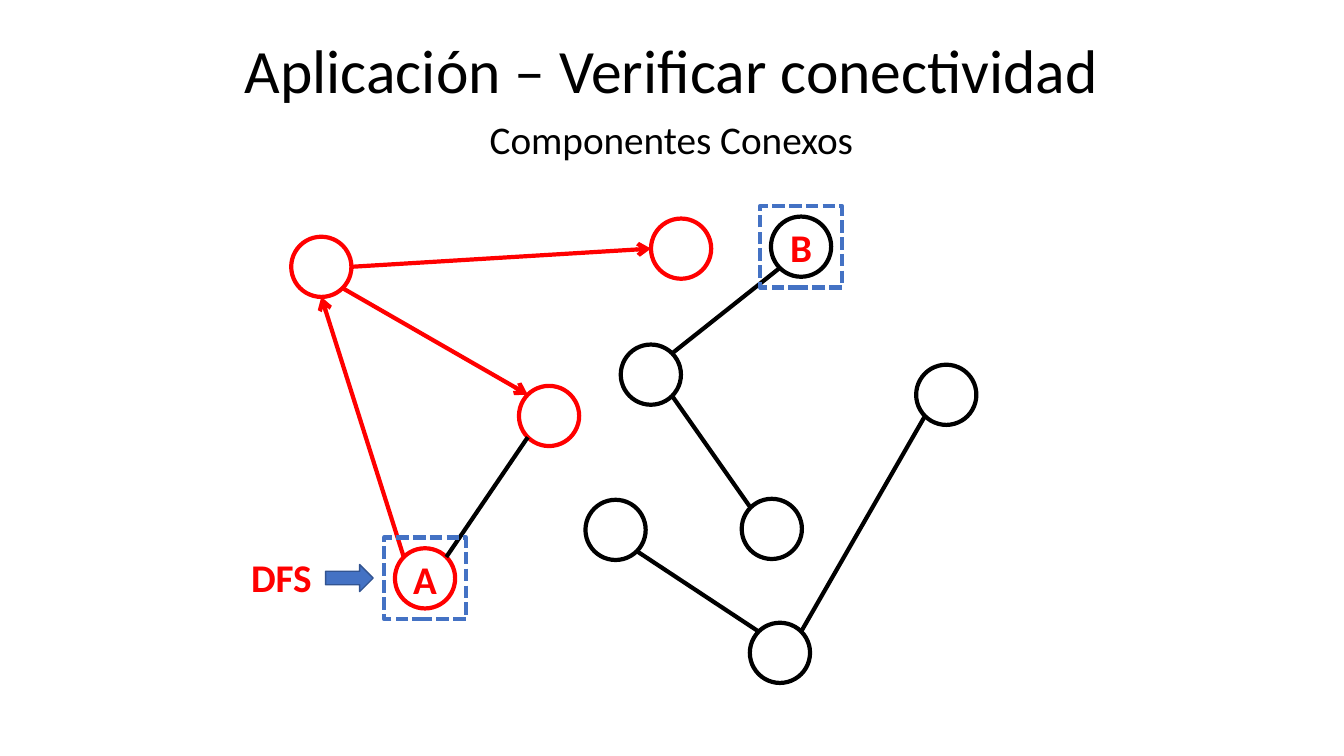
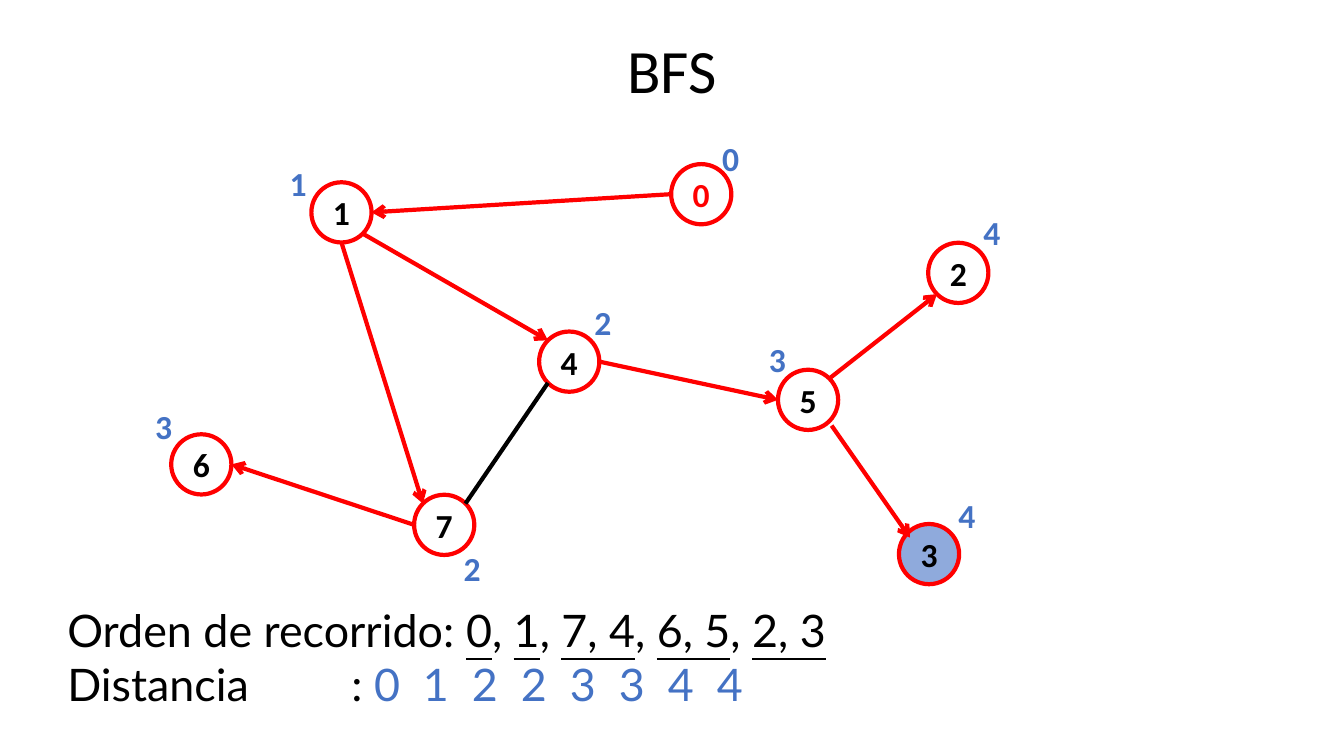
from dataclasses import dataclass
from enum import IntEnum
from math import cos, radians, sin

from lxml.etree import SubElement
from pptx import Presentation
from pptx.dml.color import RGBColor
from pptx.enum.dml import MSO_LINE
from pptx.enum.shapes import MSO_CONNECTOR, MSO_SHAPE
from pptx.enum.text import MSO_ANCHOR, MSO_AUTO_SIZE, PP_ALIGN
from pptx.oxml.ns import qn
from pptx.util import Pt


@dataclass(frozen=True)
class Theme:
    black: RGBColor = RGBColor(0, 0, 0)
    visited: RGBColor = RGBColor(0xFF, 0, 0)
    accent: RGBColor = RGBColor(0x44, 0x72, 0xC4)
    accent_dark: RGBColor = RGBColor(0x32, 0x54, 0x91)
    accent_light: RGBColor = RGBColor(0x8F, 0xAA, 0xDC)
    font: str = "Calibri"
    summary_font: str = "Lato"
    title_size: int = 44
    summary_size: int = 32
    large_size: int = 28
    label_size: int = 24
    stroke: int = 3


THEME = Theme()
PAGE_WIDTH, PAGE_HEIGHT = 960, 540
NODE_SIZE = 43
FRAME_SIZE = 58.4


class Site(IntEnum):
    """Connection sites of an ellipse, counterclockwise from the top."""
    TOP = 0
    TOP_LEFT = 1
    LEFT = 2
    BOTTOM_LEFT = 3
    BOTTOM = 4
    BOTTOM_RIGHT = 5
    RIGHT = 6
    TOP_RIGHT = 7


def style_paragraph(para, size, color=THEME.black, bold=False, name=THEME.font):
    para.font.name = name
    para.font.size = Pt(size)
    para.font.bold = bold
    para.font.color.rgb = color


def add_page(deck, title, title_width):
    page = deck.slides.add_slide(deck.slide_layouts[5])
    box = page.shapes.title
    box.left, box.top = Pt((PAGE_WIDTH - title_width) / 2), Pt(0)
    box.width, box.height = Pt(title_width), Pt(104.4)
    frame = box.text_frame
    frame.text = title
    frame.auto_size = MSO_AUTO_SIZE.NONE
    frame.vertical_anchor = MSO_ANCHOR.MIDDLE
    para = frame.paragraphs[0]
    para.alignment = PP_ALIGN.CENTER
    para.line_spacing = 0.9
    style_paragraph(para, THEME.title_size)
    return page


def add_text(page, text, left, top, width, height, size, color=THEME.black, bold=False):
    """Add one centred line of text."""
    box = page.shapes.add_textbox(Pt(left), Pt(top), Pt(width), Pt(height))
    box.text_frame.text = text
    box.text_frame.word_wrap = False
    para = box.text_frame.paragraphs[0]
    para.alignment = PP_ALIGN.CENTER
    style_paragraph(para, size, color, bold)


def add_outline(page, kind, center, size, color, fill=None):
    x, y = center
    shape = page.shapes.add_shape(
        kind, Pt(x - size / 2), Pt(y - size / 2), Pt(size), Pt(size))
    shape.shadow.inherit = False
    if fill is None:
        shape.fill.background()
    else:
        shape.fill.solid()
        shape.fill.fore_color.rgb = fill
    shape.line.color.rgb = color
    shape.line.width = Pt(THEME.stroke)
    return shape


def add_node(page, center, color, label="", label_color=THEME.black,
             size=THEME.label_size, fill=None):
    node = add_outline(page, MSO_SHAPE.OVAL, center, NODE_SIZE, color, fill)
    if label:
        frame = node.text_frame
        frame.margin_left = frame.margin_right = Pt(0)
        frame.margin_top = frame.margin_bottom = Pt(0)
        frame.word_wrap = False
        frame.vertical_anchor = MSO_ANCHOR.MIDDLE
        frame.text = label
        frame.paragraphs[0].alignment = PP_ALIGN.CENTER
        style_paragraph(frame.paragraphs[0], size, label_color, True)
    return node


def add_frame(page, center):
    frame = add_outline(page, MSO_SHAPE.RECTANGLE, center, FRAME_SIZE, THEME.accent)
    frame.line.dash_style = MSO_LINE.SQUARE_DOT


def add_edge(page, start, end, traversed):
    """Draw a line; a traversed edge is red and ends in an arrowhead."""
    edge = page.shapes.add_connector(MSO_CONNECTOR.STRAIGHT, *start, *end)
    edge.line.color.rgb = THEME.visited if traversed else THEME.black
    edge.line.width = Pt(THEME.stroke)
    properties = edge._element.spPr
    if traversed:
        SubElement(properties.find(qn("a:ln")), qn("a:tailEnd"), type="arrow")
    SubElement(properties, qn("a:effectLst"))
    return edge


def site_point(node, site):
    angle = radians(90 + 45 * site)
    radius = node.width / 2
    return (round(node.left + radius + radius * cos(angle)),
            round(node.top + radius - radius * sin(angle)))


def link_nodes(page, source, source_site, target, target_site, traversed):
    """Draw an edge glued to both nodes."""
    edge = add_edge(page, site_point(source, source_site),
                    site_point(target, target_site), traversed)
    glue = edge._element.find(".//" + qn("p:cNvCxnSpPr"))
    for tag, node, site in (("a:stCxn", source, source_site),
                            ("a:endCxn", target, target_site)):
        SubElement(glue, qn(tag), id=str(node.shape_id), idx=str(int(site)))


def add_tabs(para, positions):
    tabs = SubElement(para._p.get_or_add_pPr(), qn("a:tabLst"))
    for position in positions:
        SubElement(tabs, qn("a:tab"), pos=str(Pt(position)), algn="l")


def add_summary(page, levels, distances):
    box = page.shapes.add_textbox(Pt(41), Pt(427), Pt(901), Pt(85))
    frame = box.text_frame
    frame.word_wrap = True
    order = frame.paragraphs[0]
    order.add_run().text = "Orden de recorrido: "
    for index, level in enumerate(levels):
        if index:
            order.add_run().text = ", "
        span = order.add_run()
        span.text = level
        span.font.underline = True

    distance = frame.add_paragraph()
    add_tabs(distance, [203] + [219 + 35 * step for step in range(1, len(distances))])
    distance.add_run().text = "Distancia\t: "
    span = distance.add_run()
    span.text = "\t".join(distances)
    span.font.color.rgb = THEME.accent
    for para in frame.paragraphs:
        style_paragraph(para, THEME.summary_size, name=THEME.summary_font)


def build_connectivity(deck):
    page = add_page(deck, "Aplicación – Verificar conectividad", PAGE_WIDTH)
    add_text(page, "Componentes Conexos", 314.6, 78.5, 330, 41, THEME.large_size)

    centers = {
        "northwest": (229.5, 190.6), "north": (486.5, 177.6),
        "middle": (392.2, 297.1), "A": (303.6, 413.1),
        "B": (572.2, 176.2), "hub": (464.9, 267.6), "south": (551.3, 377.8),
        "southwest": (439.7, 378.5), "bottom": (557.1, 466.3), "east": (675.9, 282),
    }
    reached = {"northwest", "north", "middle", "A"}
    framed = ("A", "B")
    nodes = {
        name: add_node(page, center,
                       THEME.visited if name in reached else THEME.black,
                       name if name in framed else "",
                       THEME.visited, THEME.large_size)
        for name, center in centers.items()
    }
    for source, source_site, target, target_site, traversed in (
        ("northwest", Site.RIGHT, "north", Site.LEFT, True),
        ("B", Site.BOTTOM_LEFT, "hub", Site.TOP_RIGHT, False),
        ("A", Site.TOP_RIGHT, "middle", Site.BOTTOM_LEFT, False),
        ("northwest", Site.BOTTOM_RIGHT, "middle", Site.TOP_LEFT, True),
        ("A", Site.TOP_LEFT, "northwest", Site.BOTTOM, True),
        ("hub", Site.BOTTOM_RIGHT, "south", Site.TOP_LEFT, False),
        ("southwest", Site.BOTTOM_RIGHT, "bottom", Site.TOP_LEFT, False),
        ("bottom", Site.TOP_RIGHT, "east", Site.BOTTOM_LEFT, False),
    ):
        link_nodes(page, nodes[source], source_site, nodes[target], target_site, traversed)

    add_text(page, "DFS", 172, 392, 58, 41, THEME.large_size, THEME.visited, True)
    pointer = page.shapes.add_shape(
        MSO_SHAPE.RIGHT_ARROW, Pt(232.6), Pt(403.2), Pt(34), Pt(19.4))
    pointer.shadow.inherit = False
    pointer.fill.solid()
    pointer.fill.fore_color.rgb = THEME.accent
    pointer.line.color.rgb = THEME.accent_dark
    pointer.line.width = Pt(1)
    for name in framed:
        add_frame(page, centers[name])


def build_bfs(deck):
    page = add_page(deck, "BFS", 451)
    nodes = {}
    for label, (x, y), distance, (shift_x, shift_y) in (
        ("0", (500.9, 138.7), "0", (21, -26)),
        ("1", (243.9, 151.7), "1", (-31, -21)),
        ("7", (317.3, 374.9), "2", (20, 31)),
        ("4", (406.6, 258.3), "2", (24, -28)),
        ("6", (143.8, 331.7), "3", (-27, -27)),
        ("5", (577.2, 285.6), "3", (-22, -29)),
        ("2", (684.5, 194.9), "4", (24, -29)),
        ("3", (663.6, 395.8), "4", (27, -28)),
    ):
        nodes[label] = add_node(
            page, (x, y), THEME.visited, label,
            label_color=THEME.visited if label == "0" else THEME.black,
            fill=THEME.accent_light if label == "3" else None)
        add_text(page, distance, x + shift_x - 13.5, y + shift_y - 18, 27, 36,
                 THEME.label_size, THEME.accent, True)

    for source, source_site, target, target_site, traversed in (
        ("0", Site.LEFT, "1", Site.RIGHT, True),
        ("1", Site.BOTTOM_RIGHT, "4", Site.TOP_LEFT, True),
        ("1", Site.BOTTOM, "7", Site.TOP_LEFT, True),
        ("7", Site.TOP_RIGHT, "4", Site.BOTTOM_LEFT, False),
        ("7", Site.LEFT, "6", Site.RIGHT, True),
        ("4", Site.RIGHT, "5", Site.LEFT, True),
        ("5", Site.TOP_RIGHT, "2", Site.BOTTOM_LEFT, True),
    ):
        link_nodes(page, nodes[source], source_site, nodes[target], target_site, traversed)
    add_edge(page, (Pt(594), Pt(304)), (Pt(650), Pt(384)), True)
    add_summary(page, ("0", "1", "7, 4", "6, 5", "2, 3"), "01223344")


def main():
    deck = Presentation()
    deck.slide_width, deck.slide_height = Pt(PAGE_WIDTH), Pt(PAGE_HEIGHT)
    build_connectivity(deck)
    build_bfs(deck)
    deck.save("out.pptx")


if __name__ == "__main__":
    main()
